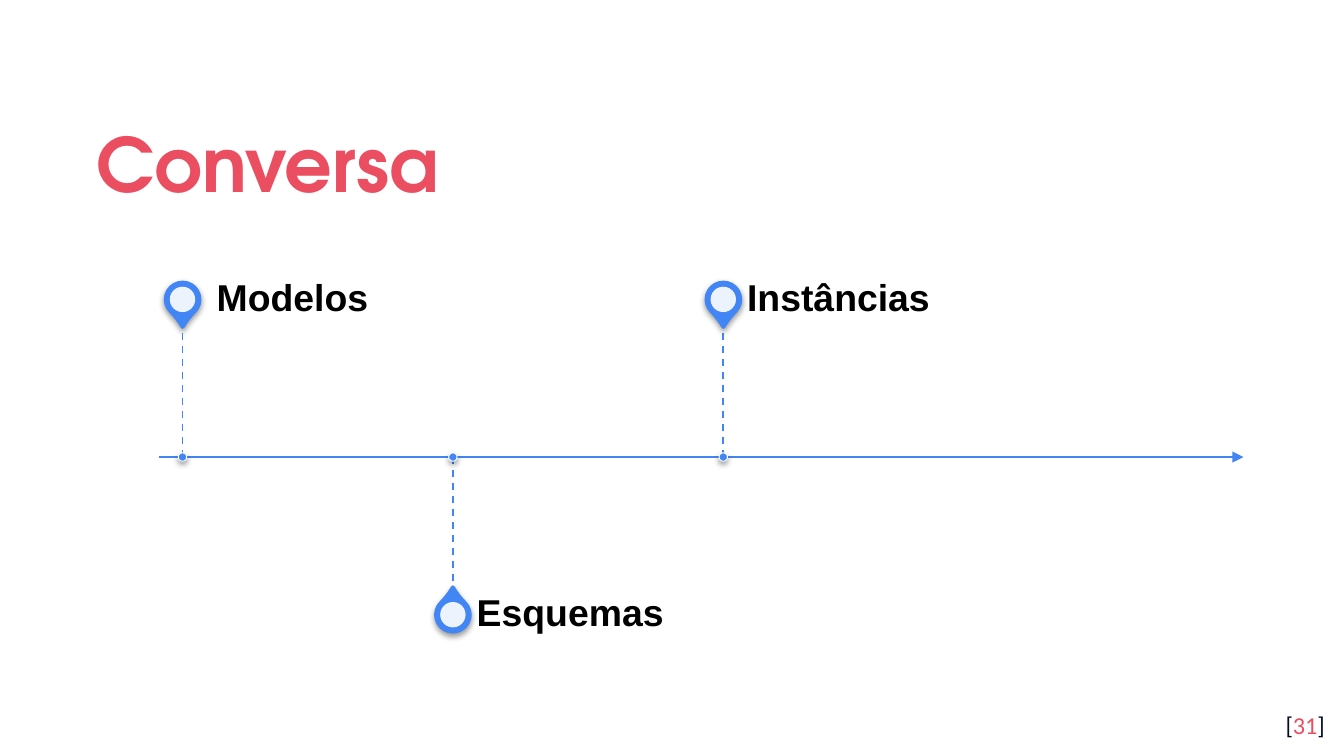
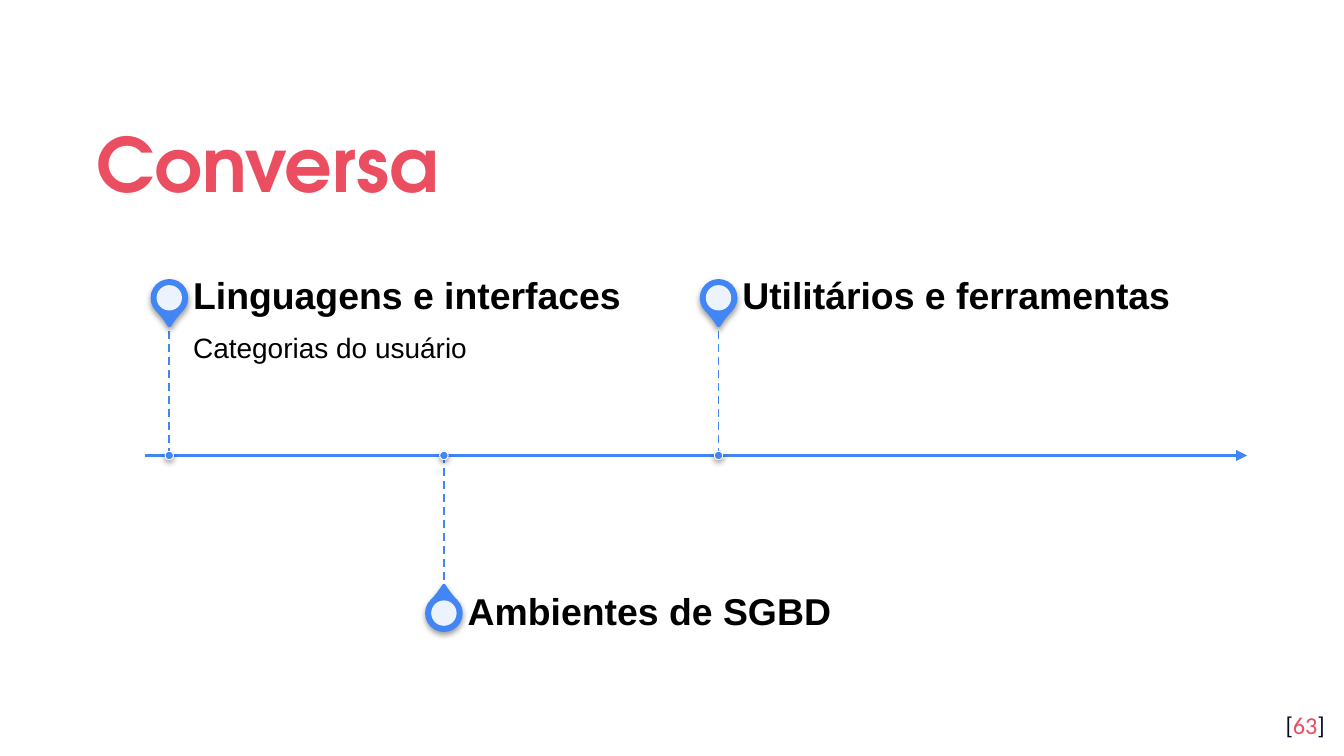
"""Build two timeline slides that mark the topics of a conversation."""

from lxml.etree import SubElement
from pptx import Presentation
from pptx.dml.color import RGBColor
from pptx.enum.dml import MSO_LINE
from pptx.enum.shapes import MSO_CONNECTOR, MSO_SHAPE
from pptx.enum.text import MSO_ANCHOR, MSO_AUTO_SIZE, PP_ALIGN
from pptx.oxml.ns import qn
from pptx.util import Cm, Pt

COLORS = {"blue": "4285F4", "red": "EA4E60", "navy": "040A24", "black": "000000", "white": "FFFFFF"}
PIN_OFFSET = 2.98
STEM_LENGTH = 2.54
LABEL_GAP = 0.45
LABEL_HEIGHT = 0.89

TIMELINES = [
    {
        "number": "31", "axis": (3.0, 23.5, 8.64), "first": 3.45, "step": 5.11, "width": 8.51,
        "topics": [("\N{NO-BREAK SPACE}Modelos", ""), ("Esquemas", ""), ("Instâncias", "")],
    },
    {
        "number": "63", "axis": (2.74, 23.57, 8.61), "first": 3.2, "step": 5.19, "width": 8.66,
        "topics": [
            ("Linguagens e interfaces", "Categorias do usuário"),
            ("Ambientes de SGBD", ""),
            ("Utilitários e ferramentas", ""),
        ],
    },
]


def write_text(box, *spans, size, font="Arial", bold=False, align=PP_ALIGN.LEFT,
               anchor=MSO_ANCHOR.MIDDLE, spacing=0.9, margins=(0, 0, 0.36, 0)):
    frame = box.text_frame
    frame.word_wrap = True
    frame.auto_size = MSO_AUTO_SIZE.NONE
    frame.vertical_anchor = anchor
    frame.margin_left, frame.margin_top, frame.margin_right, frame.margin_bottom = map(Cm, margins)
    para = frame.paragraphs[0]
    para.alignment = align
    para.line_spacing = spacing
    for text, color in spans:
        span = para.add_run()
        span.text = text
        span.font.size = Pt(size)
        span.font.name = font
        span.font.bold = bold
        span.font.color.rgb = RGBColor.from_string(COLORS[color])


def add_mark(page, kind, x, y, size, fill, line=None, weight=0):
    mark = page.shapes.add_shape(kind, Cm(x - size / 2), Cm(y - size / 2), Cm(size), Cm(size))
    mark.shadow.inherit = False
    mark.fill.solid()
    mark.fill.fore_color.rgb = RGBColor.from_string(COLORS[fill])
    if line is None:
        mark.line.fill.background()
        return mark
    mark.line.color.rgb = RGBColor.from_string(COLORS[line])
    mark.line.width = Pt(weight)
    effects = mark._element.spPr.find(qn("a:effectLst"))
    shadow = SubElement(effects, qn("a:outerShdw"), blurRad="40000", dist="20000",
                        dir="5400000", rotWithShape="0")
    shade = SubElement(shadow, qn("a:srgbClr"), val=COLORS["black"])
    SubElement(shade, qn("a:alpha"), val="38000")
    return mark


deck = Presentation()
deck.slide_width, deck.slide_height = Cm(25.4), Cm(14.29)

for timeline in TIMELINES:
    page = deck.slides.add_slide(deck.slide_layouts[5])
    title = page.shapes.title
    title.left, title.top, title.width, title.height = Cm(1.57), Cm(1.78), Cm(22.28), Cm(2.34)
    write_text(title, ("Conversa", "red"), size=40, font="TeX Gyre Adventor", bold=True,
               spacing=1.15, margins=(0.25,) * 4)
    box = page.shapes.add_textbox(Cm(23.77), Cm(13.18), Cm(1.52), Cm(1.09))
    write_text(box, ("[", "navy"), (timeline["number"], "red"), ("]", "navy"), size=13,
               font="Calibri", align=PP_ALIGN.RIGHT, anchor=MSO_ANCHOR.TOP, spacing=1.0,
               margins=(0.25,) * 4)

    start, end, axis_y = timeline["axis"]
    stops = []
    for index, (heading, detail) in enumerate(timeline["topics"]):
        side = 1 if index % 2 else -1
        stops.append((timeline["first"] + index * timeline["step"], side, heading, detail))

    lines = [(start, axis_y, end, axis_y)]
    lines += [(x, axis_y, x, axis_y + side * STEM_LENGTH) for x, side, _, _ in stops]
    for x1, y1, x2, y2 in lines:
        connector = page.shapes.add_connector(MSO_CONNECTOR.STRAIGHT, Cm(x1), Cm(y1), Cm(x2), Cm(y2))
        connector.line.color.rgb = RGBColor.from_string(COLORS["blue"])
        if y1 == y2:
            connector.line.width = Pt(1.5)
            SubElement(connector.line._get_or_add_ln(), qn("a:tailEnd"), type="triangle")
        else:
            connector.line.width = Pt(1)
            connector.line.dash_style = MSO_LINE.DASH
        SubElement(connector._element.spPr, qn("a:effectLst"))

    for x, side, heading, detail in stops:
        pin_y = axis_y + side * PIN_OFFSET
        pin = add_mark(page, MSO_SHAPE.TEAR, x, pin_y, 0.64, "blue", "blue", 2)
        pin.adjustments[0] = 1.15
        pin.rotation = 315 if side > 0 else 135
        core = add_mark(page, MSO_SHAPE.OVAL, x, pin_y, 0.48, "white")
        tint = core._element.spPr.find(qn("a:solidFill"))[0]
        SubElement(tint, qn("a:alpha"), val="90000")
        add_mark(page, MSO_SHAPE.OVAL, x, axis_y, 0.16, "blue", "white", 0.5)

        left, top = x + LABEL_GAP, pin_y - LABEL_HEIGHT / 2
        label = page.shapes.add_textbox(Cm(left), Cm(top), Cm(timeline["width"]), Cm(LABEL_HEIGHT))
        write_text(label, (heading, "black"), size=20, bold=True)
        if detail:
            note = page.shapes.add_textbox(Cm(left), Cm(top + LABEL_HEIGHT),
                                           Cm(timeline["width"]), Cm(STEM_LENGTH))
            write_text(note, (detail, "black"), size=15, anchor=MSO_ANCHOR.TOP,
                       margins=(0, 0.25, 0.25, 0.41))

deck.save("out.pptx")
